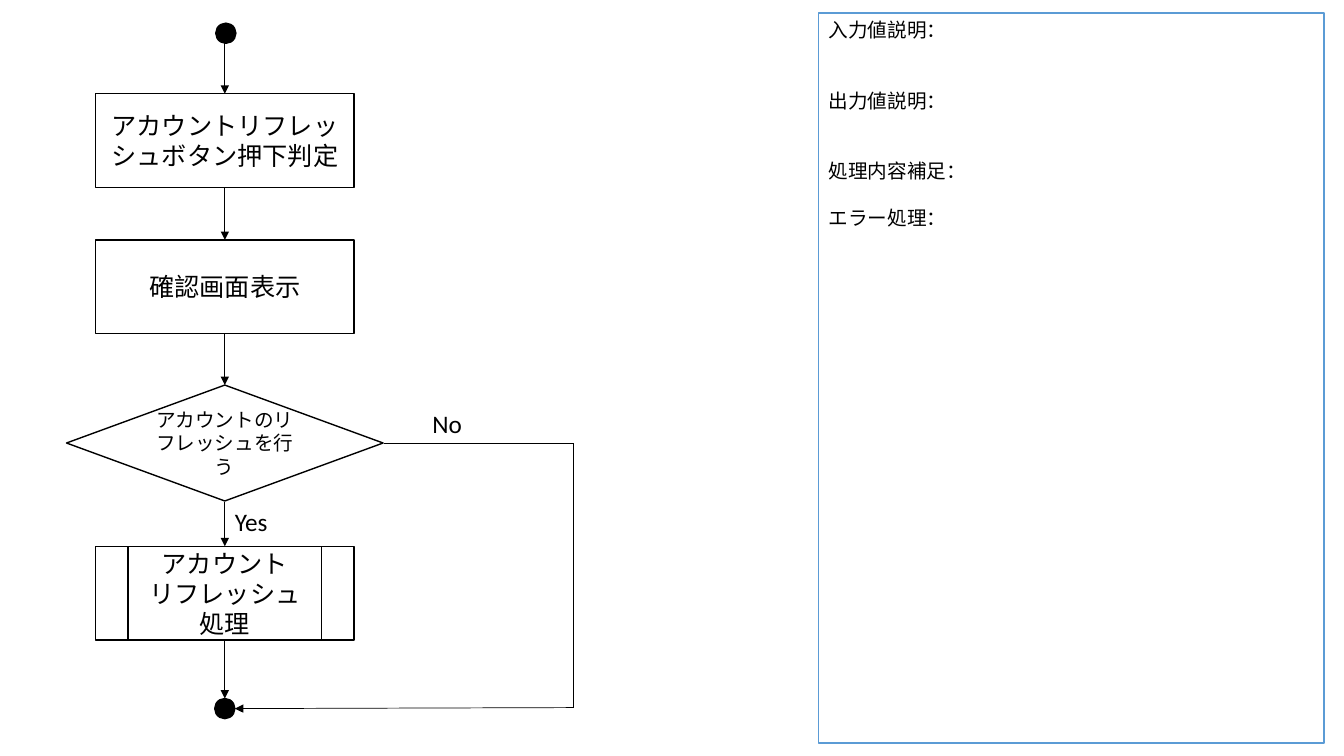
"""Draw the account refresh flowchart with its notes panel."""
from pptx import Presentation
from pptx.dml.color import RGBColor as Rgb
from pptx.enum.shapes import MSO_CONNECTOR as Conn, MSO_SHAPE as Kind
from pptx.enum.text import MSO_ANCHOR as Anchor, PP_ALIGN as Align
from pptx.oxml.ns import qn
from pptx.util import Inches, Pt
from lxml.etree import SubElement as Sub

HUES = {"ink": "000000", "paper": "FFFFFF", "edge": "5B9BD5"}


class Flow:
    """Hold the style and the current slide."""

    def __init__(self, deck, font="Calibri"):
        self.slide = deck.slides.add_slide(deck.slide_layouts[6])
        self.font = font

    def hue(self, name):
        return Rgb.from_string(HUES[name])

    def words(self, frame, text, size, align):
        frame.text = text
        for para in frame.paragraphs:
            para.alignment = align
            for run in para.runs:
                run.font.size = Pt(size)
                run.font.name = self.font
                run.font.color.rgb = self.hue("ink")

    def shape(self, kind, box, fill="paper", line="ink"):
        item = self.slide.shapes.add_shape(kind, *map(Inches, box))
        item.shadow.inherit = False
        item.fill.solid()
        item.fill.fore_color.rgb = self.hue(fill)
        item.line.color.rgb = self.hue(line)
        item.line.width = Pt(1)
        return item

    def dot(self, left, top):
        self.shape(Kind.OVAL, (left, top, 0.2, 0.2), fill="ink")

    def step(self, kind, box, text, size=18):
        frame = self.shape(kind, box).text_frame
        frame.word_wrap = True
        frame.vertical_anchor = Anchor.MIDDLE
        self.words(frame, text, size, Align.CENTER)

    def panel(self, box, notes):
        frame = self.shape(Kind.FLOWCHART_PROCESS, box, line="edge").text_frame
        frame.word_wrap = True
        frame.vertical_anchor = Anchor.TOP
        self.words(frame, "\n".join(text for text, gap in notes), 14, Align.LEFT)
        for para, (text, gap) in zip(frame.paragraphs, notes):
            para.space_before = Pt(gap)

    def label(self, left, top, text):
        box = self.slide.shapes.add_textbox(*map(Inches, (left, top, 0.62, 0.4)))
        box.text_frame.word_wrap = True
        self.words(box.text_frame, text, 18, Align.LEFT)

    def link(self, start, end, arrow=True):
        item = self.slide.shapes.add_connector(
            Conn.STRAIGHT, *map(Inches, start + end))
        item.line.color.rgb = self.hue("ink")
        item.line.width = Pt(0.5)
        props = item._element.spPr
        if arrow:
            Sub(props.find(qn("a:ln")), qn("a:tailEnd"), type="triangle")
        Sub(props, qn("a:effectLst"))


def main():
    deck = Presentation()
    deck.slide_width, deck.slide_height = Inches(13.33), Inches(7.5)
    flow = Flow(deck)

    flow.panel((8.12, 0.13, 5.01, 7.24), [
        ("入力値説明：", 0), ("出力値説明：", 33.5),
        ("処理内容補足：", 33.5), ("エラー処理：", 16.5)])

    flow.dot(2.14, 0.23)
    flow.dot(2.13, 6.93)
    steps = [
        (0.93, Kind.FLOWCHART_PROCESS, "アカウントリフレッシュボタン押下判定"),
        (2.38, Kind.FLOWCHART_PROCESS, "確認画面表示"),
        (5.42, Kind.FLOWCHART_PREDEFINED_PROCESS, "アカウント\nリフレッシュ処理")]
    for top, kind, text in steps:
        flow.step(kind, (0.95, top, 2.56, 0.93), text)
    flow.step(Kind.FLOWCHART_DECISION, (0.66, 3.82, 3.14, 1.15),
              "アカウントのリフレッシュを行う", 14)

    mid, right, turn, base = 2.23, 5.69, 4.4, 7.02
    for top, end in [(0.42, 0.93), (1.86, 2.38), (3.31, 3.82),
                     (4.98, 5.42), (6.36, 6.93)]:
        flow.link((mid, top), (mid, end))
    flow.link((3.81, turn), (right, turn), arrow=False)
    flow.link((right, turn), (right, base), arrow=False)
    flow.link((right, base), (2.33, 7.03))

    flow.label(2.23, 4.97, "Yes")
    flow.label(4.19, 4, "No")
    deck.save("out.pptx")


if __name__ == "__main__":
    main()
